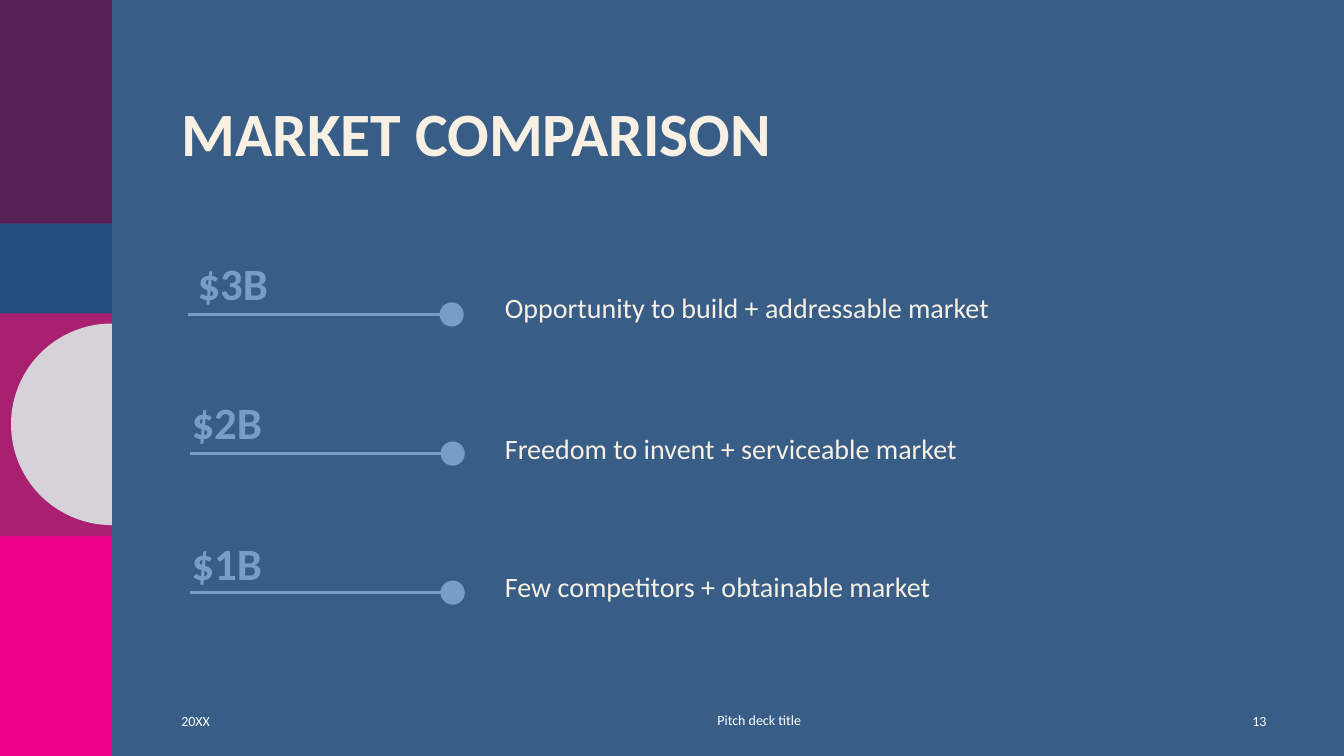
from dataclasses import dataclass
from math import cos, pi, sin

from lxml.etree import SubElement
from pptx import Presentation
from pptx.dml.color import RGBColor
from pptx.enum.shapes import MSO_CONNECTOR, MSO_SHAPE
from pptx.enum.text import MSO_ANCHOR, PP_ALIGN
from pptx.oxml.ns import qn
from pptx.util import Inches, Pt


@dataclass(frozen=True)
class Theme:
    font: str = "Calibri"
    background: str = "385E88"
    cream: str = "F8F0E3"
    white: str = "FFFFFF"
    accent: str = "789EC7"
    pink: str = "EC008C"
    magenta: str = "AA2070"
    purple: str = "582156"
    navy: str = "224E7F"
    half_disc: str = "D5D2DA"
    title_size: int = 44
    amount_size: int = 32
    body_size: int = 20
    footer_size: int = 10


THEME = Theme()
BAND_WIDTH = 1.11
DOT_SIZE = 0.24
FIRST_LINE_TOP = 3.12
LINE_PITCH = 1.38

# Top, height, colour
BANDS = [
    (5.28, 2.22, THEME.pink),
    (3.1, 2.22, THEME.magenta),
    (0, 2.22, THEME.purple),
    (2.22, 0.89, THEME.navy),
]

# Amount, amount left and top, description, description top, line left, dot left
MARKETS = [
    ("$3B", 1.51, 2.41, "Opportunity to build + addressable market", 2.87, 1.86, 4.36),
    ("$2B", 1.45, 3.79, "Freedom to invent + serviceable market", 4.27, 1.88, 4.37),
    ("$1B", 1.45, 5.19, "Few competitors + obtainable market", 5.64, 1.88, 4.37),
]

# Text, left, top, width, alignment
FOOTERS = [
    ("20XX", 1.7, 6.95, 1.2, PP_ALIGN.LEFT),
    ("Pitch deck title", 6.28, 6.94, 2.5, PP_ALIGN.CENTER),
    ("13", 12.16, 6.95, 0.5, PP_ALIGN.RIGHT),
]


def paint(shape, color):
    shape.shadow.inherit = False
    shape.fill.solid()
    shape.fill.fore_color.rgb = RGBColor.from_string(color)
    shape.line.fill.background()


def add_filled_shape(slide, kind, left, top, width, height, color):
    shape = slide.shapes.add_shape(
        kind, Inches(left), Inches(top), Inches(width), Inches(height)
    )
    paint(shape, color)


def add_left_half_disc(slide, center_x, center_y, radius, color, steps=90):
    """Draw the left half of a disc whose flat side stands at center_x."""
    angles = [pi / 2 + pi * step / steps for step in range(steps + 1)]
    points = [
        (Inches(center_x + radius * cos(angle)), Inches(center_y + radius * sin(angle)))
        for angle in angles
    ]
    builder = slide.shapes.build_freeform(*points[0])
    builder.add_line_segments(points[1:], close=True)
    paint(builder.convert_to_shape(), color)


def add_text(slide, text, left, top, width, height, *, size, color, bold=False,
             align=PP_ALIGN.LEFT, anchor=MSO_ANCHOR.TOP, line_spacing=None):
    box = slide.shapes.add_textbox(
        Inches(left), Inches(top), Inches(width), Inches(height)
    )
    frame = box.text_frame
    frame.word_wrap = True
    frame.vertical_anchor = anchor
    paragraph = frame.paragraphs[0]
    paragraph.text = text
    paragraph.alignment = align
    paragraph.line_spacing = line_spacing
    font = paragraph.font
    font.name = THEME.font
    font.size = Pt(size)
    font.bold = bold
    font.color.rgb = RGBColor.from_string(color)


def add_horizontal_line(slide, left, right, top, color):
    line = slide.shapes.add_connector(
        MSO_CONNECTOR.STRAIGHT, Inches(left), Inches(top), Inches(right), Inches(top)
    )
    line.line.color.rgb = RGBColor.from_string(color)
    line.line.width = Pt(2)
    SubElement(line.element.spPr, qn("a:effectLst"))


def add_side_band(slide):
    for top, height, color in BANDS:
        add_filled_shape(slide, MSO_SHAPE.RECTANGLE, 0, top, BAND_WIDTH, height, color)
    add_left_half_disc(slide, BAND_WIDTH, 4.21, 1, THEME.half_disc)


def add_markets(slide):
    for row, market in enumerate(MARKETS):
        amount, amount_left, amount_top, description, text_top, line_left, dot_left = market
        line_top = FIRST_LINE_TOP + row * LINE_PITCH
        add_text(slide, amount, amount_left, amount_top, 1.6, 0.86,
                 size=THEME.amount_size, color=THEME.accent, bold=True,
                 align=PP_ALIGN.CENTER, anchor=MSO_ANCHOR.MIDDLE, line_spacing=0.9)
        add_text(slide, description, 4.91, text_top, 6.73, 1.03,
                 size=THEME.body_size, color=THEME.cream, line_spacing=0.9)
        add_horizontal_line(slide, line_left, dot_left + 0.04, line_top, THEME.accent)
        add_filled_shape(slide, MSO_SHAPE.OVAL, dot_left, line_top - DOT_SIZE / 2,
                         DOT_SIZE, DOT_SIZE, THEME.accent)


def add_footers(slide):
    for text, left, top, width, align in FOOTERS:
        add_text(slide, text, left, top, width, 0.4, size=THEME.footer_size,
                 color=THEME.white, align=align, anchor=MSO_ANCHOR.MIDDLE)


def main():
    presentation = Presentation()
    presentation.slide_width = Inches(13.33)
    presentation.slide_height = Inches(7.5)
    slide = presentation.slides.add_slide(presentation.slide_layouts[6])
    slide.background.fill.solid()
    slide.background.fill.fore_color.rgb = RGBColor.from_string(THEME.background)
    add_side_band(slide)
    add_text(slide, "MARKET COMPARISON", 1.7, 0.98, 11.14, 1.45,
             size=THEME.title_size, color=THEME.cream, bold=True, line_spacing=0.9)
    add_markets(slide)
    add_footers(slide)
    presentation.save("out.pptx")


if __name__ == "__main__":
    main()
